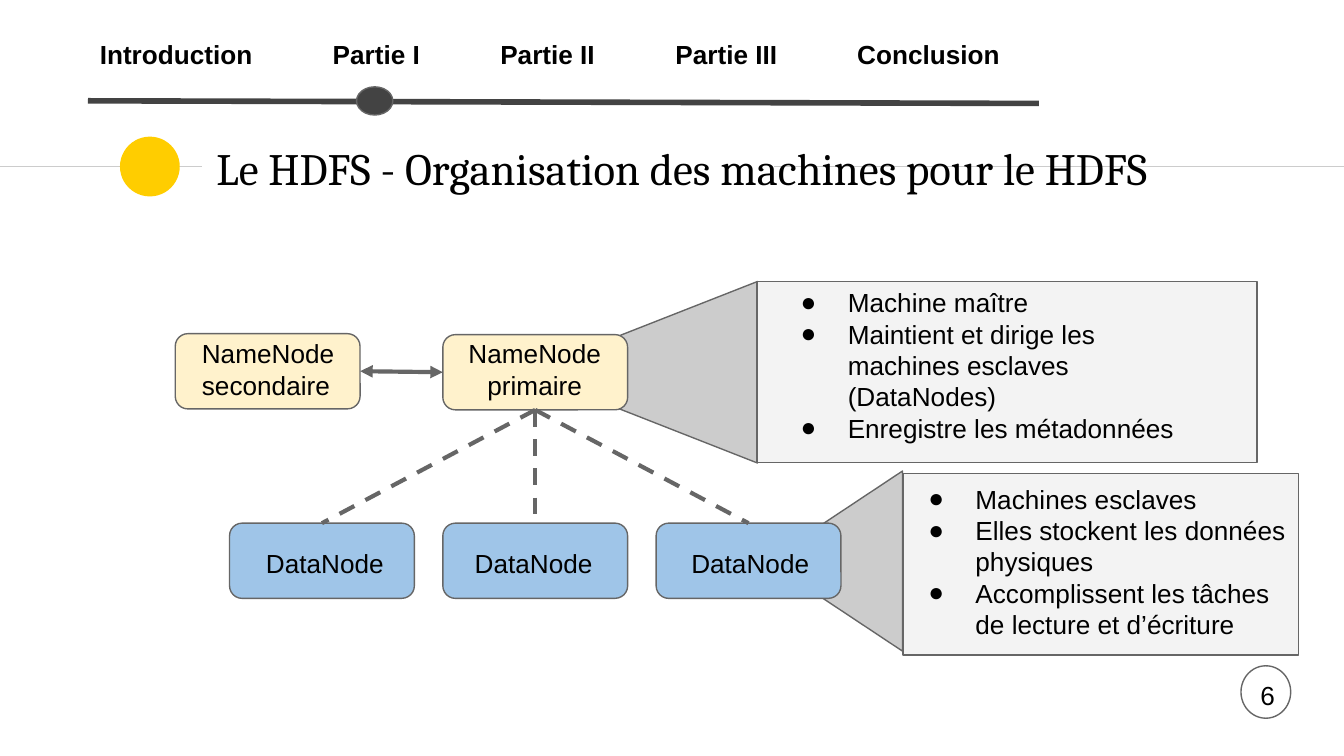
import pptx
import pptx.util
import pptx.dml.color
import pptx.enum.dml
import pptx.enum.shapes
import pptx.enum.text
import pptx.oxml
import pptx.oxml.ns
from dataclasses import dataclass

SHAPE = pptx.enum.shapes.MSO_SHAPE
ALIGN = pptx.enum.text.PP_ALIGN
ANCHOR = pptx.enum.text.MSO_ANCHOR

# Grid of square cells, ten to the inch, on a 16:9 slide
CELL = pptx.util.Inches(0.1)
COLUMNS, ROWS = 100, 56.25


@dataclass(frozen=True)
class Theme:
    ink: str = "000000"
    accent: str = "FFCD00"
    rule: str = "CCCCCC"
    outline: str = "666666"
    timeline: str = "434343"
    paper: str = "FFFFFF"
    panel: str = "F3F3F3"
    name_node: str = "FFF2CC"
    data_node: str = "9FC5E8"
    title_font: str = "Cambria"
    body_font: str = "Arial"
    title_size: float = 24
    body_size: float = 14
    thin: float = 0.75
    medium: float = 2.25
    thick: float = 3


THEME = Theme()
BODY = {"name": THEME.body_font, "size": pptx.util.Pt(THEME.body_size)}
HEADING = {"name": THEME.title_font, "size": pptx.util.Pt(THEME.title_size), "bold": False}
FRAME = {
    "word_wrap": True,
    "auto_size": pptx.enum.text.MSO_AUTO_SIZE.NONE,
    **{f"margin_{side}": CELL for side in ("left", "top", "right", "bottom")},
}

# Node size and positions, in cells
NODE_WIDTH, NODE_HEIGHT = 13.75, 5.6
NODE_PITCH = 15.87
DATA_LEFT, DATA_TOP = 17.08, 38.93
PRIMARY_LEFT, PRIMARY_TOP = DATA_LEFT + NODE_PITCH, 24.9
PRIMARY_CENTER = PRIMARY_LEFT + NODE_WIDTH / 2


def cells(*counts):
    return [round(count * CELL) for count in counts]


def color(value):
    return pptx.dml.color.RGBColor.from_string(value)


def assign(target, values):
    for name, value in values.items():
        setattr(target, name, value)


def add_xml(parent, tag, **attributes):
    child = pptx.oxml.parse_xml(f"<a:{tag} {pptx.oxml.ns.nsdecls('a')}/>")
    for name, value in attributes.items():
        child.set(name, str(value))
    parent.append(child)
    return child


def style_paragraph(paragraph, font=BODY, **extra):
    assign(paragraph.font, {**font, **extra})
    paragraph.font.color.rgb = color(THEME.ink)


def add_figure(slide, kind, box, fill, outline=THEME.outline, rotation=0):
    figure = slide.shapes.add_shape(kind, *cells(*box))
    figure.shadow.inherit = False
    figure.rotation = rotation
    figure.fill.solid()
    figure.fill.fore_color.rgb = color(fill)
    if outline:
        figure.line.color.rgb = color(outline)
        figure.line.width = pptx.util.Pt(THEME.thin)
    else:
        figure.line.fill.background()


def add_line(slide, start, end, stroke, width, dashed=False, arrows=False):
    link = slide.shapes.add_connector(
        pptx.enum.shapes.MSO_CONNECTOR.STRAIGHT, *cells(*start, *end))
    link.line.color.rgb = color(stroke)
    link.line.width = pptx.util.Pt(width)
    if dashed:
        link.line.dash_style = pptx.enum.dml.MSO_LINE.DASH
    if arrows:
        outline = link.element.spPr.find(pptx.oxml.ns.qn("a:ln"))
        for end_tag in ("headEnd", "tailEnd"):
            add_xml(outline, end_tag, type="triangle")
    add_xml(link.element.spPr, "effectLst")


def add_text(slide, box, lines, align=ALIGN.LEFT, bullets=False, tabs=(), bold=False):
    frame = slide.shapes.add_textbox(*cells(*box)).text_frame
    assign(frame, FRAME)
    frame.text = "\n".join(lines)
    for paragraph in frame.paragraphs:
        paragraph.alignment = align
        properties = paragraph._p.get_or_add_pPr()
        if bullets:
            properties.set("marL", str(pptx.util.Inches(0.5)))
            properties.set("indent", str(pptx.util.Inches(-0.35)))
            add_xml(add_xml(properties, "buClr"), "srgbClr", val=THEME.ink)
            add_xml(properties, "buFont", typeface=THEME.body_font)
            add_xml(properties, "buChar", char="●")
        if tabs:
            stops = add_xml(properties, "tabLst")
            for stop in cells(*tabs):
                add_xml(stops, "tab", pos=stop, algn="l")
        style_paragraph(paragraph, bold=bold)


def add_title(slide, text):
    # Rule and dot behind the title
    add_line(slide, (0, 12.4), (15, 12.4), THEME.rule, THEME.thin)
    add_figure(slide, SHAPE.OVAL, (8.93, 10.17, 4.45, 4.45), THEME.accent, outline=None)
    add_line(slide, (57.6, 12.4), (COLUMNS, 12.4), THEME.rule, THEME.thin)
    title = slide.shapes.title
    title.element.getparent().append(title.element)
    left, top, width, height = cells(15.1, 10.1, 84, 4.8)
    assign(title, {"left": left, "top": top, "width": width, "height": height})
    assign(title.text_frame, {**FRAME, "vertical_anchor": ANCHOR.MIDDLE, "text": text})
    heading = title.text_frame.paragraphs[0]
    heading.alignment = ALIGN.LEFT
    style_paragraph(heading, HEADING)


def add_callout(slide, cone, panel, text_box, points):
    add_figure(slide, SHAPE.ISOSCELES_TRIANGLE, cone, THEME.rule, rotation=270)
    add_figure(slide, SHAPE.RECTANGLE, panel, THEME.panel)
    add_text(slide, text_box, points, bullets=True)


def add_node(slide, left, top, fill, label_box, lines, align=ALIGN.LEFT):
    add_figure(slide, SHAPE.ROUNDED_RECTANGLE, (left, top, NODE_WIDTH, NODE_HEIGHT), fill)
    add_text(slide, label_box, lines, align)


def add_data_nodes(slide):
    for index, label_left in enumerate((18.8, 34.33, 50.45)):
        left = DATA_LEFT + index * NODE_PITCH
        add_node(slide, left, DATA_TOP, THEME.data_node,
                 (label_left, 39.7, 11.5, 5.6), ["DataNode"])
        add_line(slide, (PRIMARY_CENTER, PRIMARY_TOP + NODE_HEIGHT),
                 (left + NODE_WIDTH / 2, DATA_TOP),
                 THEME.outline, THEME.medium, dashed=True)


def add_navigation(slide, sections):
    add_line(slide, (77.3, 7.7), (6.55, 7.5), THEME.timeline, THEME.thick)
    add_figure(slide, SHAPE.OVAL, (26.53, 6.46, 2.7, 2.1), THEME.timeline)
    add_text(slide, (6.44, 1.85, 71.5, 3.9), ["\t".join(sections)],
             tabs=(17.33, 29.8, 42.83, 56.36), bold=True)


def main():
    deck = pptx.Presentation()
    deck.slide_width, deck.slide_height = cells(COLUMNS, ROWS)
    slide = deck.slides.add_slide(deck.slide_layouts.get_by_name("Title Only"))

    add_title(slide, "Le HDFS - Organisation des machines pour le HDFS")

    # Page number
    add_figure(slide, SHAPE.OVAL, (92.34, 49.54, 3.7, 3.9), THEME.paper)
    add_text(slide, (92.8, 49.54, 3.3, 3.9), ["6"])

    # Roles of the machines
    add_callout(slide, (55.4, 36.7, 13.4, 10.1), (67.2, 35.23, 29.4, 13.5),
                (66.6, 34.94, 31.3, 13.4),
                ["Machines esclaves", "Elles stockent les données physiques",
                 "Accomplissent les tâches de lecture et d’écriture"])
    add_callout(slide, (41, 19.1, 13.5, 17.2), (56.33, 20.93, 37.2, 13.5),
                (57.1, 20.33, 32.4, 12.4),
                ["Machine maître", "Maintient et dirige les machines esclaves (DataNodes)",
                 "Enregistre les métadonnées"])

    # Cluster
    add_node(slide, PRIMARY_LEFT, PRIMARY_TOP, THEME.name_node,
             (33.44, 24.13, 12.7, 4.8), ["NameNode", "primaire"], ALIGN.CENTER)
    add_node(slide, 13.04, 24.83, THEME.name_node,
             (14.04, 24.13, 12.7, 4.8), ["NameNode", "secondaire"])
    add_line(slide, (26.8, 27.62), (PRIMARY_LEFT, 27.7),
             THEME.outline, THEME.medium, arrows=True)
    add_data_nodes(slide)

    add_navigation(slide, ["Introduction", "Partie I", "Partie II", "Partie III", "Conclusion"])
    deck.save("out.pptx")


if __name__ == "__main__":
    main()
